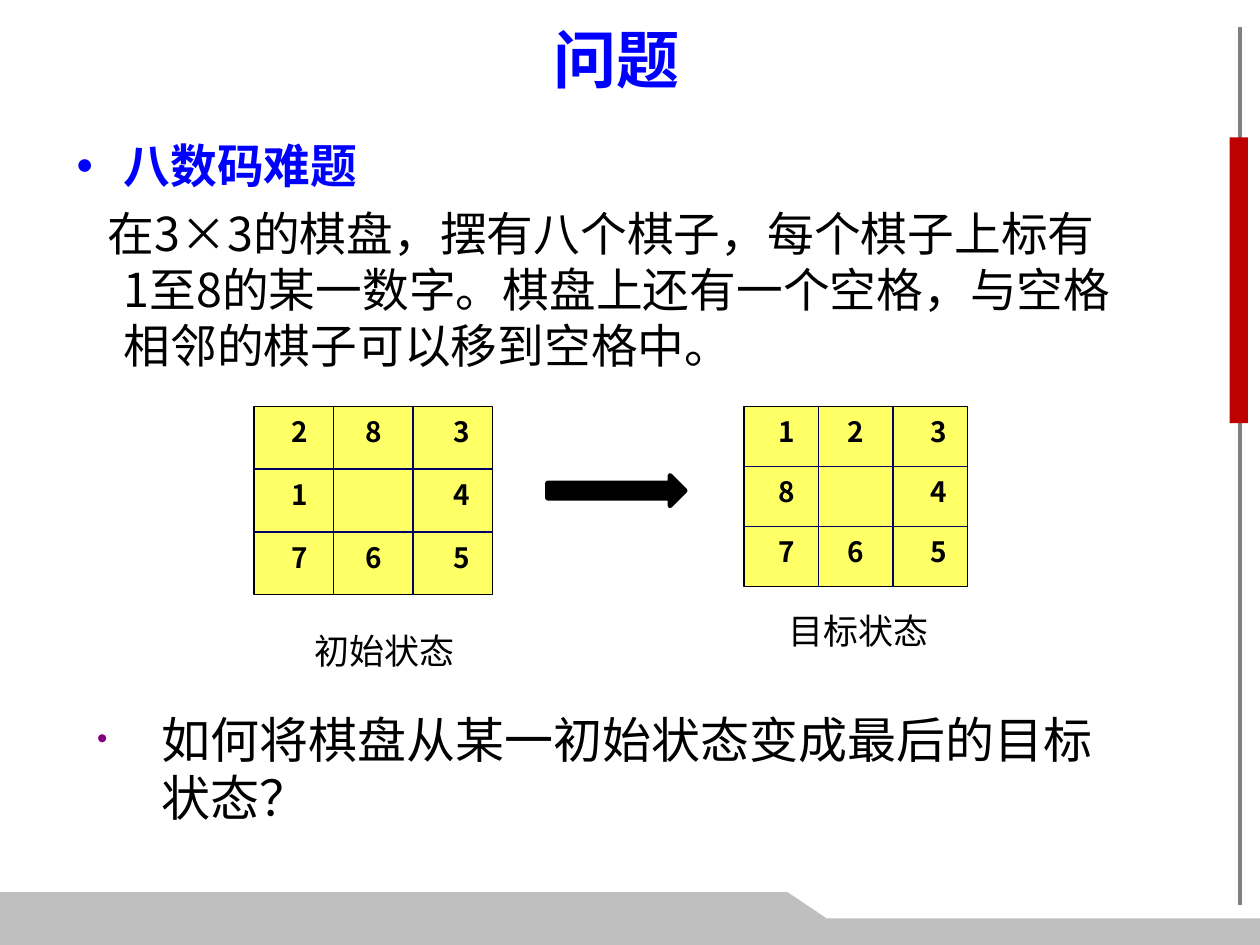
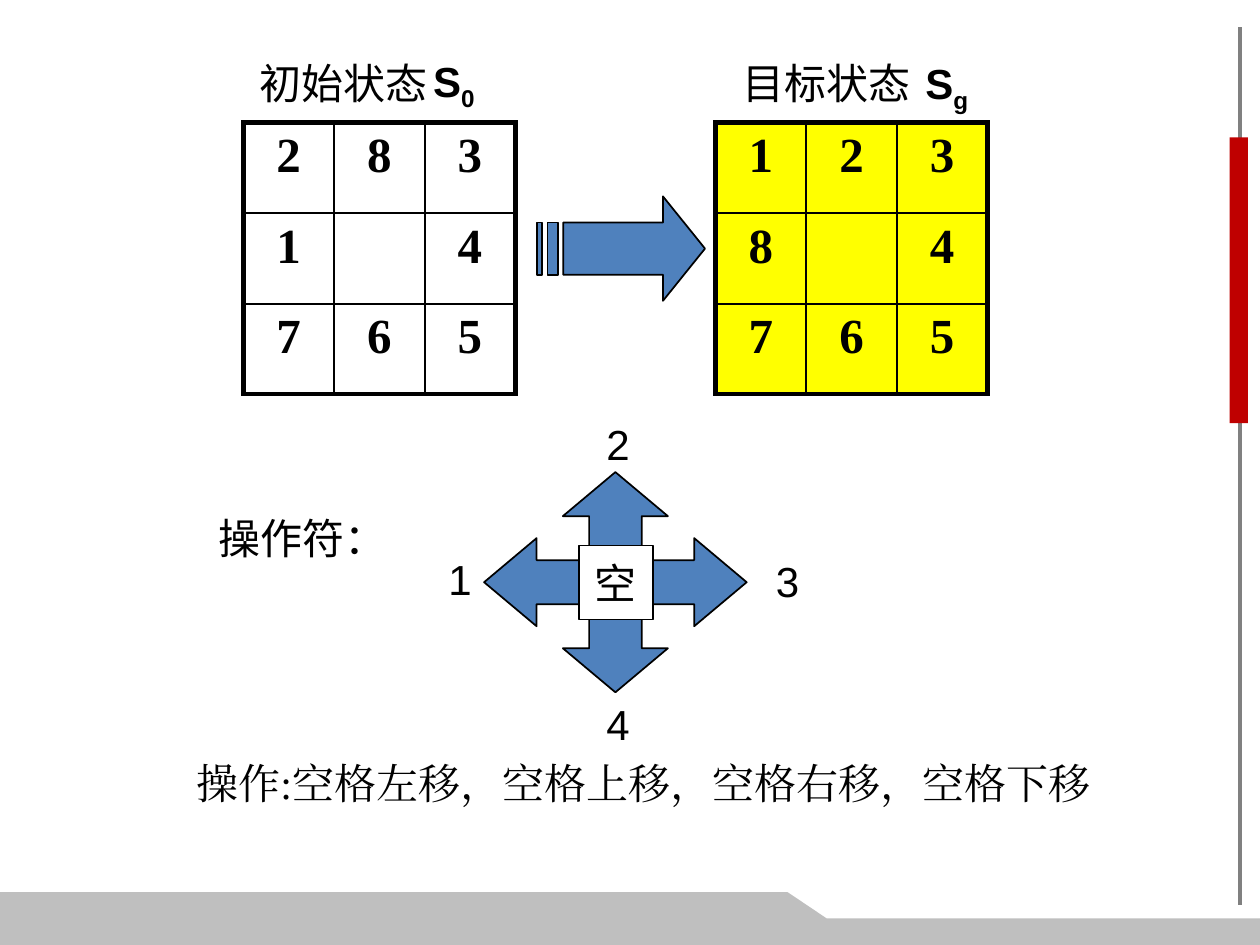
from dataclasses import dataclass

import pptx
import pptx.dml.color
import pptx.enum.shapes
import pptx.enum.text
import pptx.oxml.ns
import pptx.util
from lxml import etree

Cm = pptx.util.Cm
Pt = pptx.util.Pt
RGBColor = pptx.dml.color.RGBColor
Shape = pptx.enum.shapes.MSO_SHAPE
Align = pptx.enum.text.PP_ALIGN
qn = pptx.oxml.ns.qn

BLACK = RGBColor(0, 0, 0)
WHITE = RGBColor(255, 255, 255)
BLUE = RGBColor(0, 0, 255)
NAVY = RGBColor(0, 0, 0x66)
STEEL = RGBColor(0x4F, 0x81, 0xBD)
PURPLE = RGBColor(0x80, 0, 0x80)
YELLOW = RGBColor(255, 255, 0)
LEMON = RGBColor(255, 255, 0x66)
RED = RGBColor(0xBF, 0, 0)
GREY = RGBColor(0x80, 0x80, 0x80)
SILVER = RGBColor(0xBF, 0xBF, 0xBF)

WIDTH, HEIGHT = 19.05, 14.29
START = ("283", "1 4", "765")
GOAL = ("123", "8 4", "765")


@dataclass(frozen=True)
class Style:
    size: float
    font: str = "Noto Sans CJK SC"
    color: RGBColor = BLACK
    bold: bool = False
    lead: float = 0  # fixed line height in points, 0 for the font's own


@dataclass(frozen=True)
class Box:
    left: float
    top: float
    width: float
    height: float

    def cm(self) -> tuple:
        return Cm(self.left), Cm(self.top), Cm(self.width), Cm(self.height)


@dataclass(frozen=True)
class Label:
    box: Box
    words: str
    sub: str = ""
    bold: bool = False
    wrap: bool = True


@dataclass(frozen=True)
class Board:
    box: Box
    rows: tuple
    name: Label


@dataclass(frozen=True)
class Grid:
    left: float
    rows: tuple
    fill: RGBColor


TITLE = Style(27, color=BLUE, bold=True)
HEAD = Style(20, color=BLUE, bold=True, lead=24)
BODY = Style(20, lead=24)
ASK = Style(21, lead=25.2)
TILE = Style(12, bold=True, lead=14.4)
NAME = Style(15, lead=18)
PLAIN = Style(18, "Arial")
STRONG = Style(18, "Arial", bold=True)
SERIF = Style(18, "Times New Roman")
DIGIT = Style(21, "Times New Roman", bold=True)


# Text
def write(para, words: str, style: Style, align=Align.LEFT, sub: str = "") -> None:
    para.alignment = align
    if style.lead:
        para.line_spacing = Pt(style.lead)
    form = {"name": style.font, "size": Pt(style.size), "bold": style.bold}
    for part in filter(None, (words, sub)):
        run = para.add_run()
        run.text = part
        for key, value in form.items():
            setattr(run.font, key, value)
        run.font.color.rgb = style.color
        props = run._r.get_or_add_rPr()
        etree.SubElement(props, qn("a:ea"), typeface=style.font)
        if part is sub:
            props.set("baseline", "-25000")


def add_text(slide, box: Box, words: str, style: Style, align=Align.LEFT,
             wrap: bool = True, sub: str = ""):
    frame = slide.shapes.add_textbox(*box.cm()).text_frame
    frame.word_wrap = wrap
    write(frame.paragraphs[0], words, style, align, sub)
    return frame


def indent(para, left: float, first: float) -> None:
    props = para._p.get_or_add_pPr()
    props.set("marL", str(Cm(left)))
    props.set("indent", str(Cm(first)))


def bullet(para, color: RGBColor, scale: int = 100) -> None:
    props = para._p.get_or_add_pPr()
    tint = etree.SubElement(props, qn("a:buClr"))
    etree.SubElement(tint, qn("a:srgbClr"), val=str(color))
    etree.SubElement(props, qn("a:buSzPct"), val=str(scale * 1000))
    etree.SubElement(props, qn("a:buFont"), typeface="Arial")
    etree.SubElement(props, qn("a:buChar"), char="•")


# Shapes
def paint(shape, fill: RGBColor, line: RGBColor | None = None, weight: float = 0.75) -> None:
    shape.shadow.inherit = False
    shape.fill.solid()
    shape.fill.fore_color.rgb = fill
    if line is None:
        shape.line.fill.background()
    else:
        shape.line.color.rgb = line
        shape.line.width = Pt(weight)


def add_form(slide, kind, box: Box, fill: RGBColor, line: RGBColor | None = None,
             weight: float = 0.75):
    shape = slide.shapes.add_shape(kind, *box.cm())
    paint(shape, fill, line, weight)
    return shape


def add_line(slide, x1: float, y1: float, x2: float, y2: float,
             color: RGBColor, weight: float) -> None:
    line = slide.shapes.add_connector(
        pptx.enum.shapes.MSO_CONNECTOR.STRAIGHT, Cm(x1), Cm(y1), Cm(x2), Cm(y2))
    line.line.color.rgb = color
    line.line.width = Pt(weight)
    etree.SubElement(line._element.spPr, qn("a:effectLst"))


def add_free(slide, box: Box, loops: list, fill: RGBColor, line: RGBColor | None = None) -> None:
    """Draw closed loops whose points are fractions of the box."""
    spots = [[(Cm(box.left + x * box.width), Cm(box.top + y * box.height))
              for x, y in loop] for loop in loops]
    pen = slide.shapes.build_freeform(*spots[0][0])
    for count, loop in enumerate(spots):
        if count:
            pen.move_to(*loop[0])
        pen.add_line_segments(loop[1:], close=True)
    paint(pen.convert_to_shape(), fill, line)


# Parts shared by both slides
def add_slide(deck, layout: int):
    slide = deck.slides.add_slide(deck.slide_layouts[layout])
    add_line(slide, 18.75, 0.41, 18.75, 13.69, GREY, 1.5)
    band = [(0, 0), (5 / 8, 0), (21 / 32, 0.5), (1, 0.5), (1, 1), (0, 1)]
    add_free(slide, Box(0, 13.49, WIDTH, HEIGHT - 13.49), [band], SILVER)
    add_form(slide, Shape.RECTANGLE, Box(18.59, 2.08, 0.28, 4.32), RED)
    return slide


# Small board with loose tiles
def add_board(slide, board: Board) -> None:
    box = board.box
    right, base = box.left + box.width, box.top + box.height
    add_form(slide, Shape.RECTANGLE, box, LEMON, BLACK)
    for step in (1, 2):
        x = box.left + step * box.width / 3
        y = box.top + step * box.height / 3
        add_line(slide, box.left, y, right, y, NAVY, 0.75)
        add_line(slide, x, box.top, x, base, NAVY, 0.75)
    side = 0.8
    for row, line in enumerate(board.rows):
        for share, mark in zip((0.19, 0.5, 0.87), line):
            if mark != " ":
                spot = Box(box.left + share * box.width - side / 2,
                           box.top + row * box.height / 3, side, side)
                add_text(slide, spot, mark, TILE, Align.CENTER, wrap=False)
    add_text(slide, board.name.box, board.name.words, NAME, Align.CENTER)


# Large board as a table
def add_edge(cell, side: str, weight: float) -> None:
    edge = etree.SubElement(cell._tc.get_or_add_tcPr(), qn("a:ln" + side), w=str(Pt(weight)))
    tint = etree.SubElement(edge, qn("a:solidFill"))
    etree.SubElement(tint, qn("a:srgbClr"), val=str(BLACK))


def add_grid(slide, grid: Grid) -> None:
    step = 1.37
    table = slide.shapes.add_table(
        3, 3, *Box(grid.left, 1.85, 3 * step, 3 * step).cm()).table
    table.first_row = table.horz_banding = False
    pads = {"margin_left": Cm(0.18), "margin_right": Cm(0.18),
            "margin_top": Cm(0.1), "margin_bottom": Cm(0.1)}
    for row, line in enumerate(grid.rows):
        for col, mark in enumerate(line):
            cell = table.cell(row, col)
            for key, value in pads.items():
                setattr(cell, key, value)
            outer = {"L": col == 0, "R": col == 2, "T": row == 0, "B": row == 2}
            for side, thick in outer.items():
                add_edge(cell, side, 2.25 if thick else 1)
            cell.fill.solid()
            cell.fill.fore_color.rgb = grid.fill
            if mark != " ":
                write(cell.text_frame.paragraphs[0], mark, DIGIT, Align.CENTER)


# Slide 1: the puzzle
def puzzle(deck) -> None:
    slide = add_slide(deck, 5)
    title = slide.shapes.title
    title.left, title.top, title.width, title.height = Box(3.89, 0.15, 10.87, 1.47).cm()
    frame = title.text_frame
    frame.auto_size = pptx.enum.text.MSO_AUTO_SIZE.NONE
    frame.vertical_anchor = pptx.enum.text.MSO_ANCHOR.MIDDLE
    write(frame.paragraphs[0], "问题", TITLE, Align.CENTER)

    frame = add_text(slide, Box(0.91, 1.95, 16.17, 4.65), "八数码难题", HEAD)
    head = frame.paragraphs[0]
    indent(head, 0.71, -0.71)
    bullet(head, BLUE)
    body = frame.add_paragraph()
    indent(body, 0.71, -0.24)
    body.space_before = Pt(4.8)
    write(body, "在3×3的棋盘，摆有八个棋子，每个棋子上标有1至8的某一数字。"
                "棋盘上还有一个空格，与空格相邻的棋子可以移到空格中。", BODY)

    boards = (
        Board(Box(3.84, 6.15, 3.61, 2.84), START, Label(Box(3.84, 9.4, 3.94, 0.97), "初始状态")),
        Board(Box(11.25, 6.15, 3.38, 2.72), GOAL, Label(Box(11.25, 9.09, 3.45, 0.89), "目标状态")),
    )
    for board in boards:
        add_board(slide, board)
    add_form(slide, Shape.RIGHT_ARROW, Box(8.28, 7.19, 2.08, 0.46), BLACK, BLACK, 2)

    ask = add_text(slide, Box(1.22, 10.6, 16.2, 2.84),
                   "如何将棋盘从某一初始状态变成最后的目标状态？", ASK).paragraphs[0]
    indent(ask, 0.97, -0.97)
    bullet(ask, PURPLE, 60)


# Slide 2: states and moves
def moves(deck) -> None:
    slide = add_slide(deck, 6)
    for grid in (Grid(3.68, START, WHITE), Grid(10.82, GOAL, YELLOW)):
        add_grid(slide, grid)

    # Striped arrow between the states
    bars = [[(a, 0.25), (a, 0.75), (b, 0.75), (b, 0.25)]
            for a, b in ((1 / 16, 1 / 8), (0, 1 / 32))]
    shaft = [(0.75, 0), (0.75, 0.25), (5 / 32, 0.25), (5 / 32, 0.75),
             (0.75, 0.75), (0.75, 1), (1, 0.5)]
    add_free(slide, Box(8.12, 2.97, 2.54, 1.58), [shaft, *bars], STEEL, BLACK)

    # Four-way arrow: one arm turned by quarter turns about the centre
    arm = [(0, -1), (0.4, -0.6), (0.2, -0.6), (0.2, -0.2), (0.6, -0.2), (0.6, -0.4)]
    cross = []
    for _ in range(4):
        cross += [((1 + x) / 2, (1 + y) / 2) for x, y in arm]
        arm = [(-y, x) for x, y in arm]
    add_free(slide, Box(7.32, 7.14, 3.97, 3.33), [cross], STEEL, BLACK)
    hub = add_form(slide, Shape.RECTANGLE, Box(8.75, 8.25, 1.12, 1.12), WHITE, BLACK).text_frame
    hub.word_wrap = False
    hub.vertical_anchor = pptx.enum.text.MSO_ANCHOR.MIDDLE
    write(hub.paragraphs[0], "空", PLAIN, Align.CENTER)

    labels = (
        Label(Box(3.68, 0.74, 3.81, 1.02), "初始状态"),
        Label(Box(6.3, 0.71, 1.17, 1.02), "S", "0", True, False),
        Label(Box(10.97, 0.74, 3.66, 1.02), "目标状态"),
        Label(Box(13.74, 0.74, 1.19, 1.02), "S", "g", True, False),
        Label(Box(3.05, 7.62, 3.02, 1.02), "操作符："),
        Label(Box(6.53, 8.25, 0.97, 1.02), "1"),
        Label(Box(8.92, 6.2, 0.9, 1.02), "2"),
        Label(Box(11.48, 8.28, 0.9, 1.02), "3"),
        Label(Box(8.92, 10.44, 0.97, 1.02), "4"),
    )
    for label in labels:
        add_text(slide, label.box, label.words, STRONG if label.bold else PLAIN,
                 wrap=label.wrap, sub=label.sub)
    add_text(slide, Box(2.72, 11.33, 14.15, 1.02),
             "操作:空格左移，空格上移，空格右移，空格下移", SERIF)


def main() -> None:
    deck = pptx.Presentation()
    deck.slide_width, deck.slide_height = Cm(WIDTH), Cm(HEIGHT)
    puzzle(deck)
    moves(deck)
    deck.save("out.pptx")


if __name__ == "__main__":
    main()
